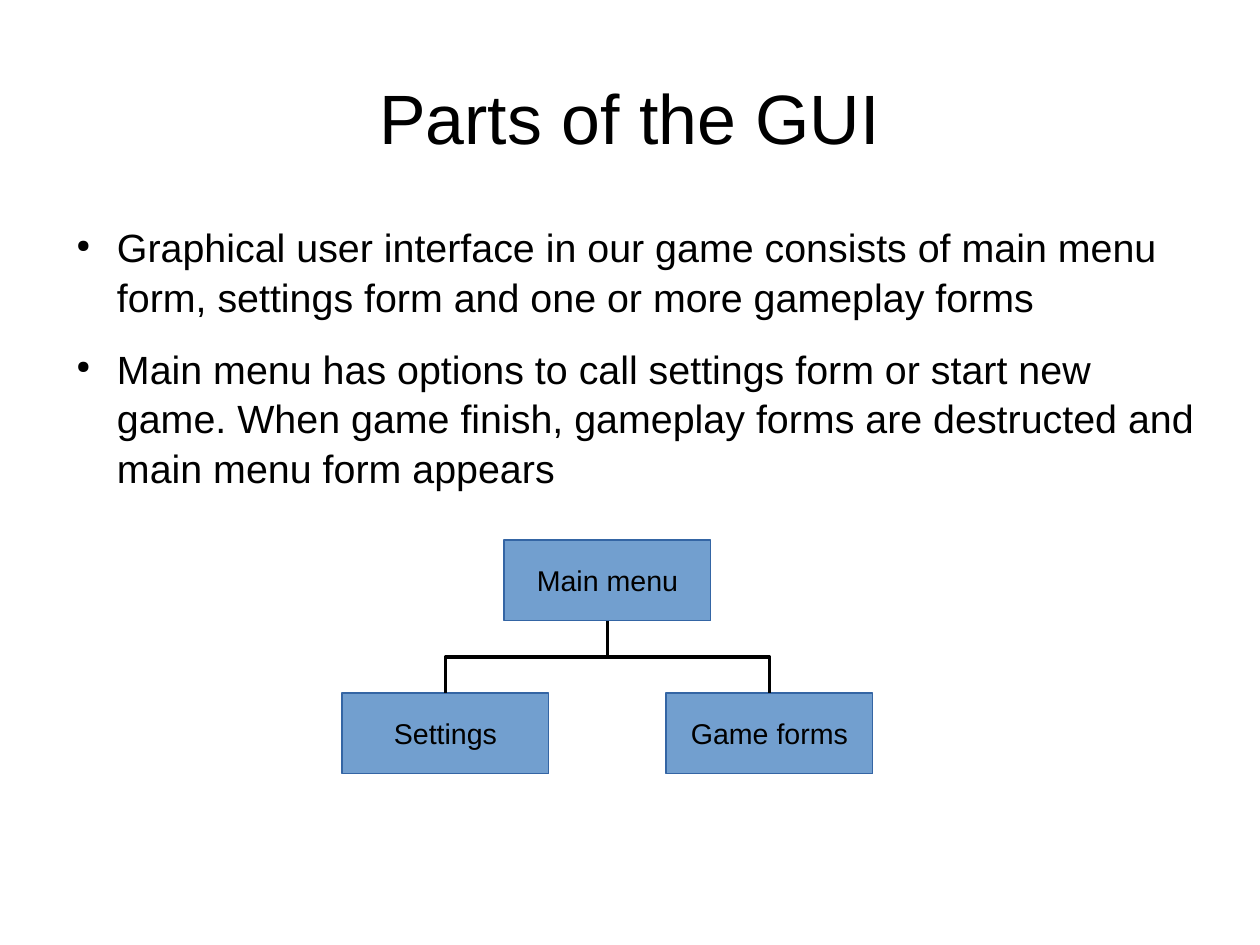
from lxml.etree import SubElement
from pptx import Presentation
from pptx.dml.color import RGBColor
from pptx.enum.shapes import MSO_CONNECTOR, MSO_SHAPE
from pptx.enum.text import MSO_ANCHOR, PP_ALIGN
from pptx.oxml.ns import qn
from pptx.util import Cm, Pt

FONT = "Arial"
BLACK = "000000"
BOX_FILL = "729FCF"
BOX_LINE = "3465A4"
BOX_WIDTH, BOX_HEIGHT = 4.6, 1.8

TITLE = "Parts of the GUI"
POINTS = [
    "Graphical user interface in our game consists of main menu form, "
    "settings form and one or more gameplay forms",
    "Main menu has options to call settings form or start new game. "
    "When game finish, gameplay forms are destructed and main menu form appears",
]


def color(hex_string):
    return RGBColor.from_string(hex_string)


def style_paragraph(paragraph, size, alignment):
    paragraph.alignment = alignment
    paragraph.font.name = FONT
    paragraph.font.size = Pt(size)
    paragraph.font.color.rgb = color(BLACK)


def add_text_frame(slide, left, top, width, height):
    """Add a wrapping text box without margins and return its text frame."""
    box = slide.shapes.add_textbox(Cm(left), Cm(top), Cm(width), Cm(height))
    frame = box.text_frame
    frame.word_wrap = True
    frame.margin_left = frame.margin_right = 0
    frame.margin_top = frame.margin_bottom = 0
    return frame


def add_title(slide, text):
    frame = add_text_frame(slide, 1.4, 0.84, 25.2, 3.5)
    frame.vertical_anchor = MSO_ANCHOR.MIDDLE
    frame.text = text
    style_paragraph(frame.paragraphs[0], 44, PP_ALIGN.CENTER)


def set_bullet(paragraph):
    properties = paragraph._p.get_or_add_pPr()
    properties.set("marL", str(Cm(1.2)))
    properties.set("indent", str(-Cm(0.9)))
    SubElement(properties, qn("a:buSzPct"), val="45000")
    SubElement(properties, qn("a:buChar"), char="●")


def add_bullet_list(slide, points):
    frame = add_text_frame(slide, 1.4, 4.91, 25.2, 5.5)
    frame.text = "\n".join(points)
    for paragraph in frame.paragraphs:
        style_paragraph(paragraph, 24.8, PP_ALIGN.LEFT)
        paragraph.line_spacing = 1.05
        paragraph.space_before = Pt(14.2)
        set_bullet(paragraph)


def add_form_box(slide, text, left, top):
    shape = slide.shapes.add_shape(
        MSO_SHAPE.RECTANGLE, Cm(left), Cm(top), Cm(BOX_WIDTH), Cm(BOX_HEIGHT)
    )
    shape.shadow.inherit = False
    shape.fill.solid()
    shape.fill.fore_color.rgb = color(BOX_FILL)
    shape.line.color.rgb = color(BOX_LINE)
    shape.line.width = Pt(0)
    frame = shape.text_frame
    frame.word_wrap = False
    frame.vertical_anchor = MSO_ANCHOR.MIDDLE
    frame.text = text
    style_paragraph(frame.paragraphs[0], 18, PP_ALIGN.CENTER)
    return shape


def connect_down(slide, parent, child):
    """Join parent bottom to child top with an elbow that starts downwards."""
    connector = slide.shapes.add_connector(MSO_CONNECTOR.ELBOW, 0, 0, 0, 0)
    connector.begin_connect(parent, 2)
    connector.end_connect(child, 0)
    connector.line.color.rgb = color(BLACK)
    connector.line.width = Pt(0)
    SubElement(connector._element.spPr, qn("a:effectLst"))

    # A quarter turn about the centre makes the outer segments vertical.
    across, down = connector.width, connector.height
    connector.left += (across - down) // 2
    connector.top += (down - across) // 2
    connector.width, connector.height = down, across
    goes_right = child.left > parent.left
    transform = connector._element.spPr.get_or_add_xfrm()
    transform.rot = 270 if goes_right else 90
    transform.flipH = goes_right


def main():
    presentation = Presentation()
    presentation.slide_width = Cm(28)
    presentation.slide_height = Cm(21)
    slide = presentation.slides.add_slide(presentation.slide_layouts[6])

    add_title(slide, TITLE)
    add_bullet_list(slide, POINTS)
    main_menu = add_form_box(slide, "Main menu", 11.2, 12)
    settings = add_form_box(slide, "Settings", 7.6, 15.4)
    game_forms = add_form_box(slide, "Game forms", 14.8, 15.4)
    for form in (settings, game_forms):
        connect_down(slide, main_menu, form)

    presentation.save("out.pptx")


if __name__ == "__main__":
    main()
